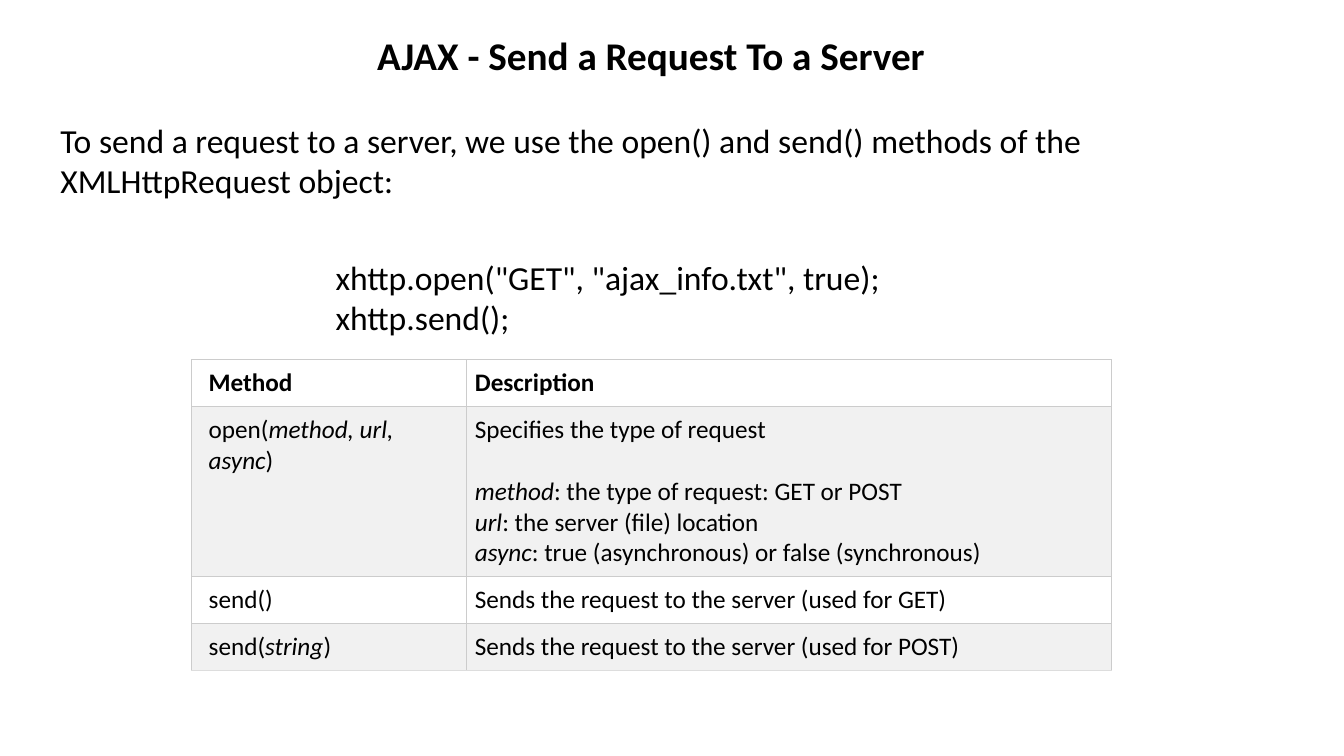
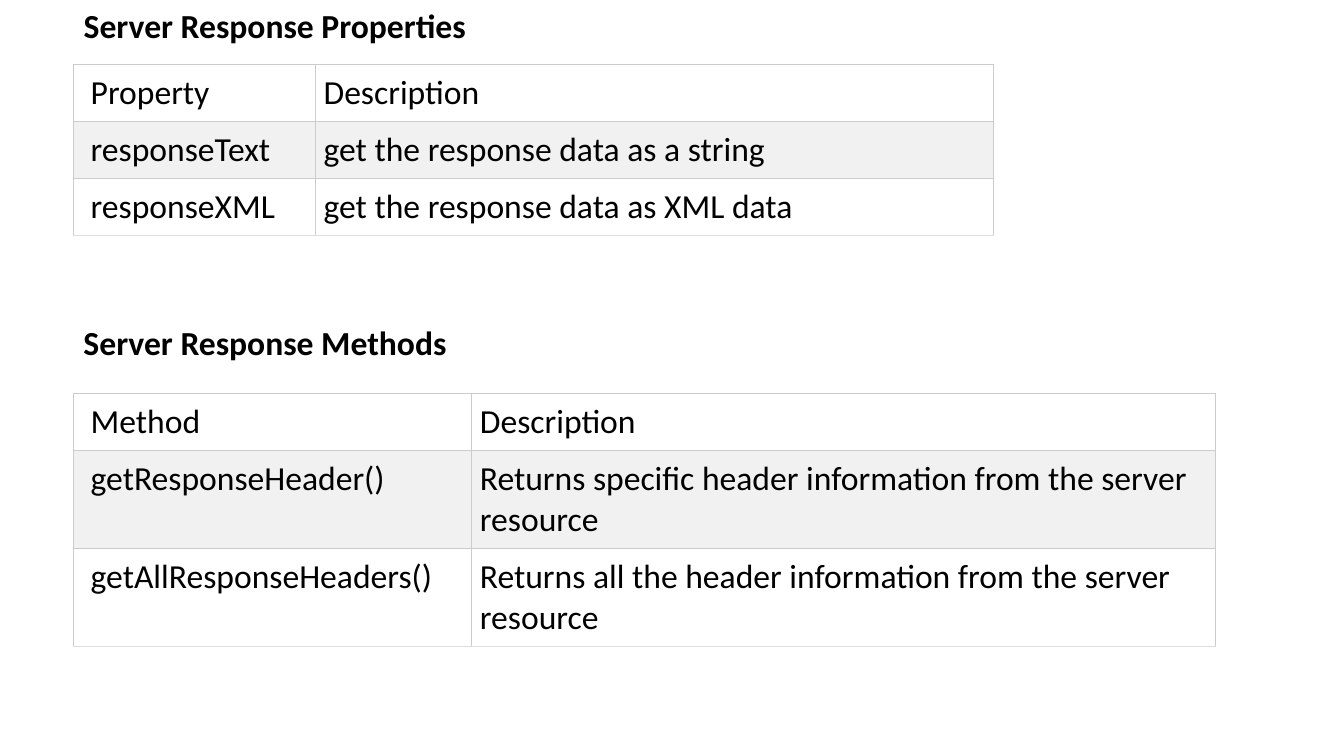
import pptx
import pptx.util
import pptx.dml.color
import pptx.enum.text
import pptx.oxml
import pptx.oxml.ns

# Shared look
FONT = "Calibri"
INK, WHITE, BAND = "000000", "FFFFFF", "F1F1F1"
GRID, GRID_END = "CCCCCC", "DDDDDD"
SLIDE_WIDTH, SLIDE_HEIGHT = 13.33, 7.5
CELL_PAD, FIRST_PAD = 0.08, 0.17
LINE_HEIGHT = 1.22  # line height as a share of the text size
CENTER = pptx.enum.text.PP_ALIGN.CENTER
LEFT = pptx.enum.text.PP_ALIGN.LEFT

# Content: *...* marks italics; each cell line is a paragraph, "" a gap
SLIDES = [
    {
        "title": dict(lines=["AJAX - Send a Request To a Server"],
                      box=(3.12, 0.26, 6.67, 0.57), size=28, bold=True, align=CENTER),
        "texts": [
            dict(lines=["To send a request to a server, we use the open() and send() "
                        "methods of the XMLHttpRequest object:"],
                 box=(0.5, 1.14, 12.12, 0.91)),
            dict(lines=['xhttp.open("GET", "ajax_info.txt", true);', "xhttp.send();"],
                 box=(3.23, 2.5, 6.67, 0.91)),
        ],
        "tables": [
            dict(corner=(1.9, 3.57), columns=(2.73, 6.39), size=18, bold_header=True,
                 row_lines=(1, 5, 1, 1), rows=[
                     ("Method", "Description"),
                     ("open(*method, url, async*)",
                      "Specifies the type of request\n\n"
                      "*method*: the type of request: GET or POST\n"
                      "*url*: the server (file) location\n"
                      "*async*: true (asynchronous) or false (synchronous)"),
                     ("send()", "Sends the request to the server (used for GET)"),
                     ("send(*string*)", "Sends the request to the server (used for POST)"),
                 ]),
        ],
    },
    {
        "title": dict(lines=["Server Response Properties"],
                      box=(0.73, 0, 6.67, 0.5), bold=True),
        "texts": [dict(lines=["Server Response Methods"],
                       box=(0.73, 3.14, 6.67, 0.5), bold=True)],
        "tables": [
            dict(corner=(0.73, 0.64), columns=(2.4, 6.72), size=24,
                 row_lines=(1, 1, 1), rows=[
                     ("Property", "Description"),
                     ("responseText", "get the response data as a string"),
                     ("responseXML", "get the response data as XML data"),
                 ]),
            dict(corner=(0.73, 3.9), columns=(3.95, 7.38), size=24,
                 row_lines=(1, 2, 2), rows=[
                     ("Method", "Description"),
                     ("getResponseHeader()",
                      "Returns specific header information from the server resource"),
                     ("getAllResponseHeaders()",
                      "Returns all the header information from the server resource"),
                 ]),
        ],
    },
]


def inches(*lengths):
    return [pptx.util.Inches(length) for length in lengths]


def color(hex_value):
    return pptx.dml.color.RGBColor.from_string(hex_value)


def style_run(run, size, bold=False, italic=False):
    run.font.name = FONT
    run.font.size = pptx.util.Pt(size)
    run.font.bold = bold
    run.font.italic = italic
    run.font.color.rgb = color(INK)


def fill_text(holder, lines, box, size=24, bold=False, align=LEFT):
    """Place a title or text box and give it the shared text style."""
    holder.left, holder.top, holder.width, holder.height = inches(*box)
    frame = holder.text_frame
    frame.text = "\n".join(lines)
    frame.word_wrap = True
    frame.auto_size = pptx.enum.text.MSO_AUTO_SIZE.SHAPE_TO_FIT_TEXT
    frame.vertical_anchor = pptx.enum.text.MSO_ANCHOR.TOP
    for paragraph in frame.paragraphs:
        paragraph.alignment = align
        for run in paragraph.runs:
            style_run(run, size, bold)


def fill_cell(cell, text, size, bold):
    paragraph = None
    for line in text.split("\n"):
        if not line:
            paragraph.space_after = pptx.util.Pt(round(size * LINE_HEIGHT))
            continue
        paragraph = cell.text_frame.add_paragraph() if paragraph else cell.text_frame.paragraphs[0]
        for index, part in enumerate(line.split("*")):
            if part:
                run = paragraph.add_run()
                run.text = part
                style_run(run, size, bold, italic=index % 2 == 1)


def draw_borders(cell, bottom):
    properties = cell._tc.get_or_add_tcPr()
    sides = {"lnL": GRID, "lnR": GRID, "lnT": GRID, "lnB": bottom}
    for position, (side, hex_value) in enumerate(sides.items()):
        properties.insert(position, pptx.oxml.parse_xml(
            f'<a:{side} {pptx.oxml.ns.nsdecls("a")} w="{pptx.util.Pt(0.75)}">'
            f'<a:solidFill><a:srgbClr val="{hex_value}"/></a:solidFill></a:{side}>'))


def add_grid(slide, corner, columns, size, row_lines, rows, bold_header=False):
    heights = [lines * size * LINE_HEIGHT / 72 + 2 * CELL_PAD for lines in row_lines]
    grid = slide.shapes.add_table(
        len(rows), len(columns), *inches(*corner, sum(columns), sum(heights))).table
    grid.first_row = grid.horz_banding = False
    for column, width in zip(grid.columns, inches(*columns)):
        column.width = width
    for row, height in zip(grid.rows, inches(*heights)):
        row.height = height
    for r, texts in enumerate(rows):
        for c, text in enumerate(texts):
            cell = grid.cell(r, c)
            cell.margin_left, cell.margin_top, cell.margin_right, cell.margin_bottom = inches(
                CELL_PAD if c else FIRST_PAD, CELL_PAD, CELL_PAD, CELL_PAD)
            fill_cell(cell, text, size, bold_header and r == 0)
            cell.fill.solid()
            cell.fill.fore_color.rgb = color(BAND if r % 2 else WHITE)
            draw_borders(cell, GRID_END if r == len(rows) - 1 else GRID)


def main():
    deck = pptx.Presentation()
    deck.slide_width, deck.slide_height = inches(SLIDE_WIDTH, SLIDE_HEIGHT)
    title_only = deck.slide_layouts[5]
    for content in SLIDES:
        slide = deck.slides.add_slide(title_only)
        fill_text(slide.shapes.title, **content["title"])
        for text in content["texts"]:
            fill_text(slide.shapes.add_textbox(*inches(*text["box"])), **text)
        for table in content["tables"]:
            add_grid(slide, **table)
    deck.save("out.pptx")


if __name__ == "__main__":
    main()
